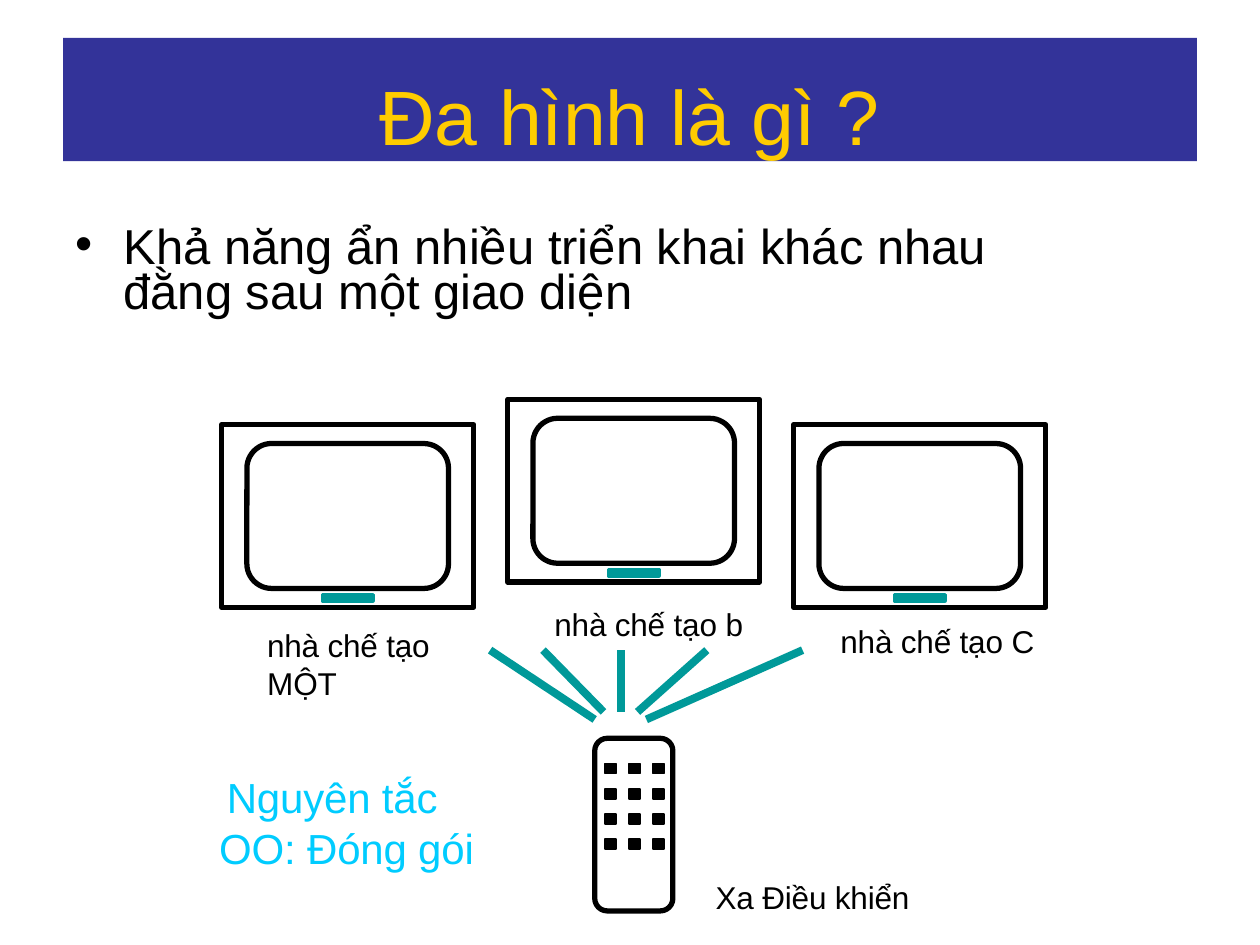
from lxml import etree
from pptx import Presentation
from pptx.dml.color import RGBColor
from pptx.enum import shapes, text
from pptx.oxml import ns
from pptx.util import Inches, Pt

NAVY = RGBColor(0x33, 0x33, 0x99)
GOLD = RGBColor(0xFF, 0xCC, 0x00)
TEAL = RGBColor(0x00, 0x99, 0x99)
CYAN = RGBColor(0x00, 0xCC, 0xFF)
BLACK = RGBColor(0, 0, 0)
RECT = shapes.MSO_SHAPE.RECTANGLE
ROUNDED = shapes.MSO_SHAPE.ROUNDED_RECTANGLE


def add_part(group, kind, box, line, width, fill=None, corner=None):
    part = group.shapes.add_shape(kind, *map(Inches, box))
    part.shadow.inherit = False
    part.line.color.rgb = line
    part.line.width = Pt(width)
    if fill is None:
        part.fill.background()
    else:
        part.fill.solid()
        part.fill.fore_color.rgb = fill
    if corner is not None:
        part.adjustments[0] = corner


def write(frame, words, size, color, inset, before, spacing=None):
    frame.word_wrap = True
    frame.auto_size = text.MSO_AUTO_SIZE.NONE
    frame.vertical_anchor = text.MSO_ANCHOR.TOP
    frame.margin_left = frame.margin_right = frame.margin_bottom = 0
    frame.margin_top = Inches(inset)
    para = frame.paragraphs[0]
    para.space_before = Pt(before)
    if spacing:
        para.line_spacing = spacing
    for piece in words:
        span = para.add_run()
        span.text = piece
        span.font.name = "Arial"
        span.font.size = Pt(size)
        span.font.color.rgb = color
    return para


def indent(para, margin, first):
    props = para._p.get_or_add_pPr()
    props.set("marL", str(Inches(margin)))
    props.set("indent", str(Inches(first)))
    return props


def add_title(page, box):
    title = page.shapes.title
    title.left, title.top, title.width, title.height = map(Inches, box)
    title.fill.solid()
    title.fill.fore_color.rgb = NAVY
    para = write(title.text_frame, ["Đa hình là ", "gì ?"], 44, GOLD, 0.24, 17.4)
    para.alignment = text.PP_ALIGN.CENTER


def add_definition(page, box):
    frame = page.shapes.add_textbox(*map(Inches, box)).text_frame
    words = ["Khả năng ", "ẩn ", "nhiều triển khai khác nhau đằng sau một giao diện"]
    para = write(frame, words, 28, BLACK, 0.12, 8.6, 0.77)
    props = indent(para, 0.39, -0.38)
    etree.SubElement(props, ns.qn("a:buFont")).set("typeface", "Arial")
    etree.SubElement(props, ns.qn("a:buChar")).set("char", "•")


def add_label(page, box, words, size=18, color=BLACK, first=0, spacing=None):
    frame = page.shapes.add_textbox(*map(Inches, box)).text_frame
    para = write(frame, words, size, color, 0.01, 1, spacing)
    indent(para, 0.01, first)
    for span in para.runs:
        if len(span.text) > 3:
            span.font._element.set("spc", "-10")


def add_television(page, left, top):
    group = page.shapes.add_group_shape()
    add_part(group, RECT, (left, top, 2, 1.45), BLACK, 3)
    add_part(group, ROUNDED, (left + 0.2, top + 0.15, 1.6, 1.15), BLACK, 3, corner=0.17)
    add_part(group, RECT, (left + 0.8, top + 1.35, 0.4, 0.05), TEAL, 2, fill=TEAL)


def add_remote(page, left, top):
    group = page.shapes.add_group_shape()
    add_part(group, ROUNDED, (left, top, 0.62, 1.37), BLACK, 3, corner=0.16)
    for row in range(4):
        for column in range(3):
            box = (left + 0.08 + 0.19 * column, top + 0.2 + 0.2 * row, 0.09, 0.08)
            add_part(group, RECT, box, BLACK, 1, fill=BLACK)


def add_signals(page, top):
    group = page.shapes.add_group_shape()
    rays = [(4.72, 0.55, 3.89), (4.79, 0.49, 4.31), (4.93, 0.49, 4.93),
            (5.06, 0.49, 5.61), (5.13, 0.55, 6.37)]
    for start, drop, end in rays:
        ray = group.shapes.add_connector(
            shapes.MSO_CONNECTOR.STRAIGHT,
            Inches(start), Inches(top + drop), Inches(end), Inches(top))
        ray.line.color.rgb = TEAL
        ray.line.width = Pt(4.5)
        etree.SubElement(ray._element.spPr, ns.qn("a:effectLst"))


def build_slide(deck):
    page = deck.slides.add_slide(deck.slide_layouts[5])
    add_title(page, (0.5, 0.3, 9, 0.98))
    add_definition(page, (0.59, 1.69, 7.57, 0.86))
    add_remote(page, 4.72, 5.86)
    add_signals(page, 5.16)
    makers = [(1.76, 3.37, 2.11, 4.96, 1.72, "MỘT"),
              (4.03, 3.17, 4.39, 4.79, 1.74, "b"),
              (6.3, 3.37, 6.66, 4.93, 1.75, "C")]
    for left, top, label_left, label_top, width, name in makers:
        add_television(page, left, top)
        add_label(page, (label_left, label_top, width, 0.33), ["nhà chế tạo ", name])
    add_label(page, (1.73, 6.11, 2.12, 0.8), ["Nguyên tắc OO: Đóng gói"],
              24, CYAN, 0.06, 1.01)
    add_label(page, (5.67, 6.96, 1.78, 0.33), ["Xa Điều khiển"])


deck = Presentation()
deck.slide_width, deck.slide_height = Inches(10), Inches(7.5)
build_slide(deck)
deck.save("out.pptx")
